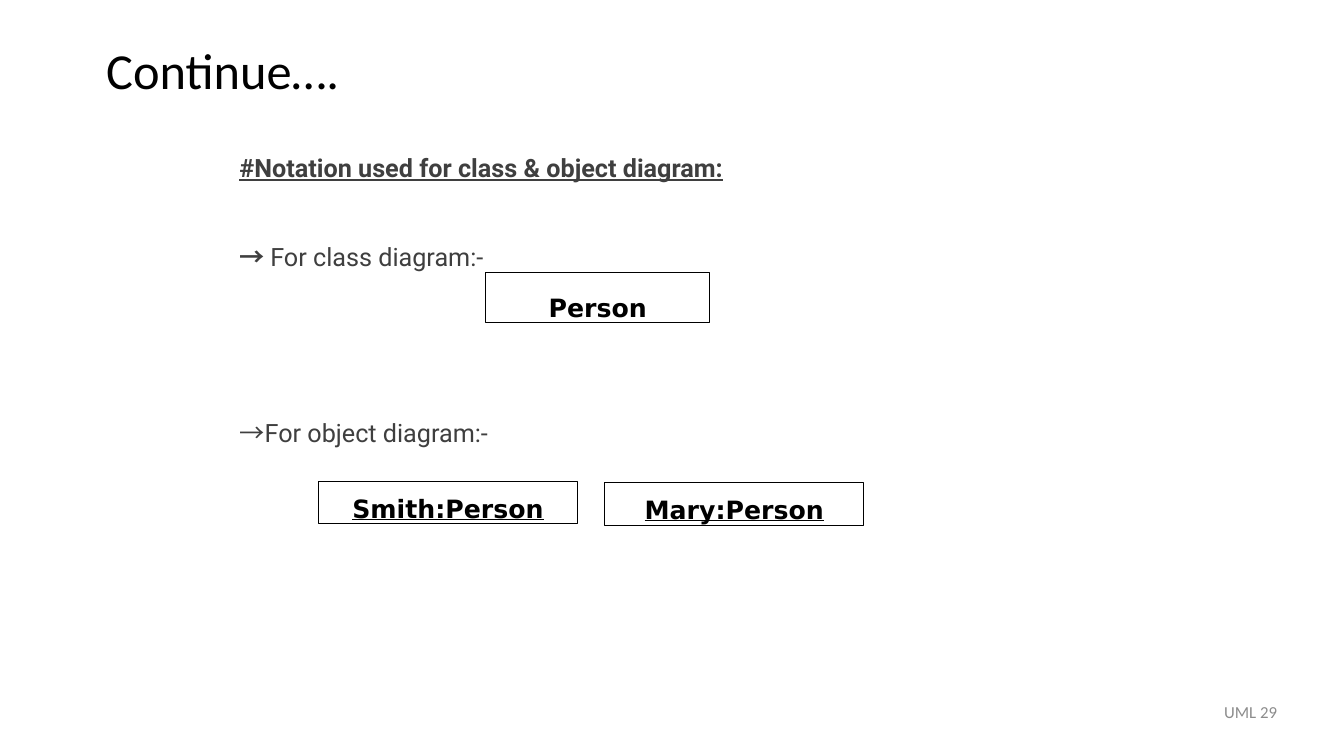
from dataclasses import dataclass
from typing import Any

import pptx
import pptx.dml.color
import pptx.enum.shapes
import pptx.enum.text
import pptx.oxml
import pptx.oxml.ns
import pptx.util

Pt = pptx.util.Pt
Align = pptx.enum.text.PP_ALIGN
Anchor = pptx.enum.text.MSO_ANCHOR

BLACK = pptx.dml.color.RGBColor(0x00, 0x00, 0x00)
DARK_GREY = pptx.dml.color.RGBColor(0x3F, 0x3F, 0x3F)
LIGHT_GREY = pptx.dml.color.RGBColor(0x8C, 0x8C, 0x8C)
ARROW_FONT = "Noto Sans CJK KR"


@dataclass
class Span:
    text: str
    name: str = "Roboto"
    size: float = 18
    color: pptx.dml.color.RGBColor = DARK_GREY
    bold: bool = False
    underline: bool = False


@dataclass
class Line:
    spans: list[Span]
    align: Any = Align.LEFT
    space_before: float = 0


@dataclass
class NotationBox:
    label: str
    left: float
    top: float
    width: float
    height: float
    underline: bool = True


NOTATION_BOXES = [
    NotationBox("Person", 347, 194.4, 160, 36.3, underline=False),
    NotationBox("Smith:Person", 227.5, 344, 185, 30.2),
    NotationBox("Mary:Person", 432, 344.9, 185, 30.2),
]


def set_values(target: Any, values: dict[str, Any]) -> None:
    for name, value in values.items():
        setattr(target, name, value)


def place(box: Any, left: float, top: float, width: float, height: float) -> None:
    set_values(box, {"left": Pt(left), "top": Pt(top),
                     "width": Pt(width), "height": Pt(height)})


def write(box: Any, lines: list[Line], anchor: Any = Anchor.TOP,
          margin_top: float = 0.7) -> None:
    frame = box.text_frame
    set_values(frame, {
        "margin_left": 0, "margin_right": 0, "margin_bottom": 0,
        "margin_top": Pt(margin_top), "word_wrap": True,
        "auto_size": pptx.enum.text.MSO_AUTO_SIZE.NONE,
        "vertical_anchor": anchor,
    })
    for index, line in enumerate(lines):
        para = frame.add_paragraph() if index else frame.paragraphs[0]
        set_values(para, {"alignment": line.align, "line_spacing": 1.0,
                          "space_before": Pt(line.space_before)})
        for span in line.spans:
            run = para.add_run()
            run.text = span.text
            set_values(run.font, {"name": span.name, "size": Pt(span.size),
                                  "bold": span.bold, "underline": span.underline})
            run.font.color.rgb = span.color


def remove_bullets(box: Any) -> None:
    for para in box.text_frame.paragraphs:
        properties = para._p.get_or_add_pPr()
        properties.set("marL", "0")
        properties.set("indent", "0")
        properties.append(pptx.oxml.parse_xml(
            f"<a:buNone {pptx.oxml.ns.nsdecls('a')}/>"))


def draw_notation(page: Any, item: NotationBox) -> None:
    box = page.shapes.add_shape(
        pptx.enum.shapes.MSO_SHAPE.RECTANGLE,
        Pt(item.left), Pt(item.top), Pt(item.width), Pt(item.height))
    box.shadow.inherit = False
    box.fill.background()
    box.line.color.rgb = BLACK
    box.line.width = Pt(0.75)
    label = Span(item.label, "DejaVu Sans", color=BLACK, bold=True,
                 underline=item.underline)
    # Labels sit on the bottom edge of their boxes
    write(box, [Line([label], Align.CENTER)], margin_top=item.height - 22)


def main() -> None:
    deck = pptx.Presentation()
    deck.slide_width, deck.slide_height = Pt(960), Pt(540)
    page = deck.slides.add_slide(deck.slide_layouts[3])
    title, class_text, object_text = page.placeholders

    # Title
    place(title, 66.2, 26.6, 185.8, 44.6)
    write(title, [Line([Span("Continue….", "Calibri", 36, BLACK)], Align.CENTER)],
          Anchor.MIDDLE)

    # Class and object headings
    place(class_text, 171, 108, 360, 87)
    write(class_text, [
        Line([Span("#Notation used for class & object diagram:",
                   bold=True, underline=True)]),
        Line([Span("→ ", ARROW_FONT, bold=True), Span("For class diagram:-")],
             space_before=42),
    ])
    place(object_text, 171, 297.4, 187, 23)
    write(object_text, [Line([Span("→", ARROW_FONT), Span("For object diagram:-")])])
    for box in (class_text, object_text):
        remove_bullets(box)

    # Notation boxes
    for item in NOTATION_BOXES:
        draw_notation(page, item)

    # Page label
    footer = page.shapes.add_textbox(Pt(688.3), Pt(500.4), Pt(224), Pt(16))
    write(footer, [Line([Span("UML 29", "Calibri", 12, LIGHT_GREY)], Align.RIGHT)])

    deck.save("out.pptx")


if __name__ == "__main__":
    main()
